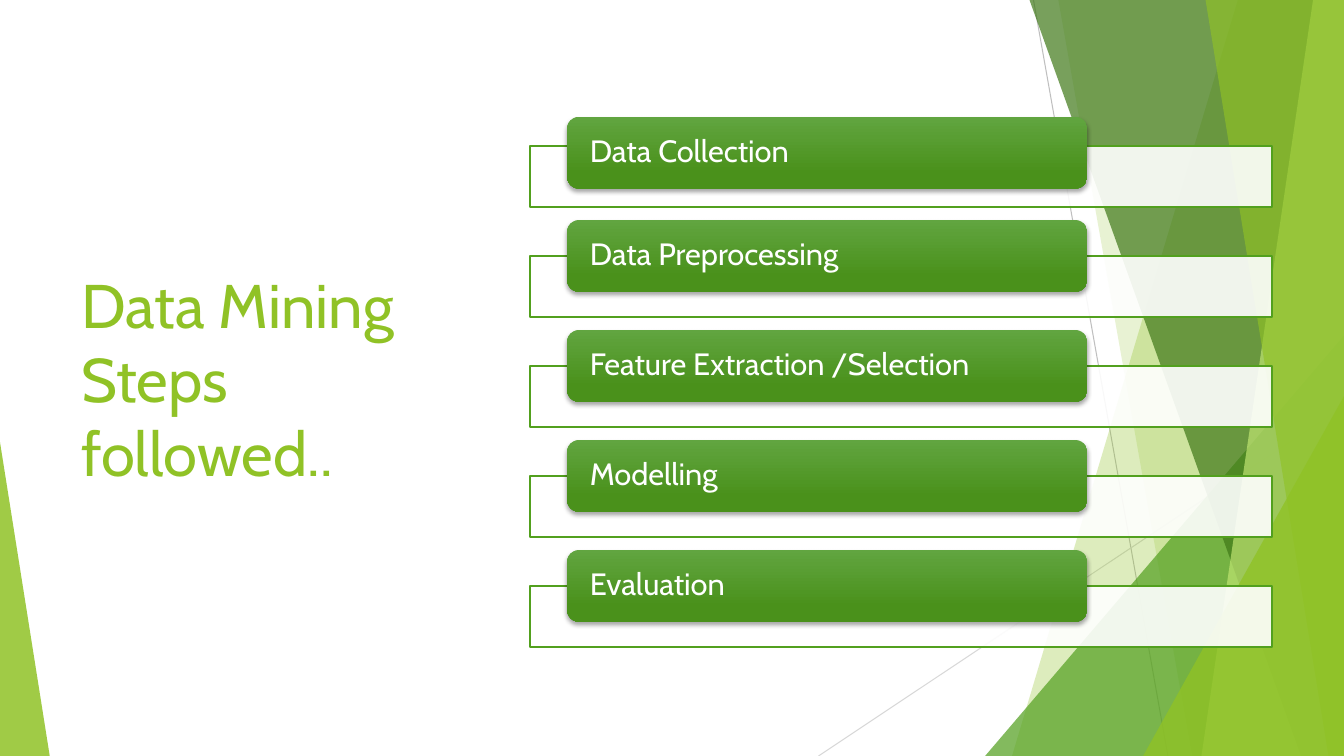
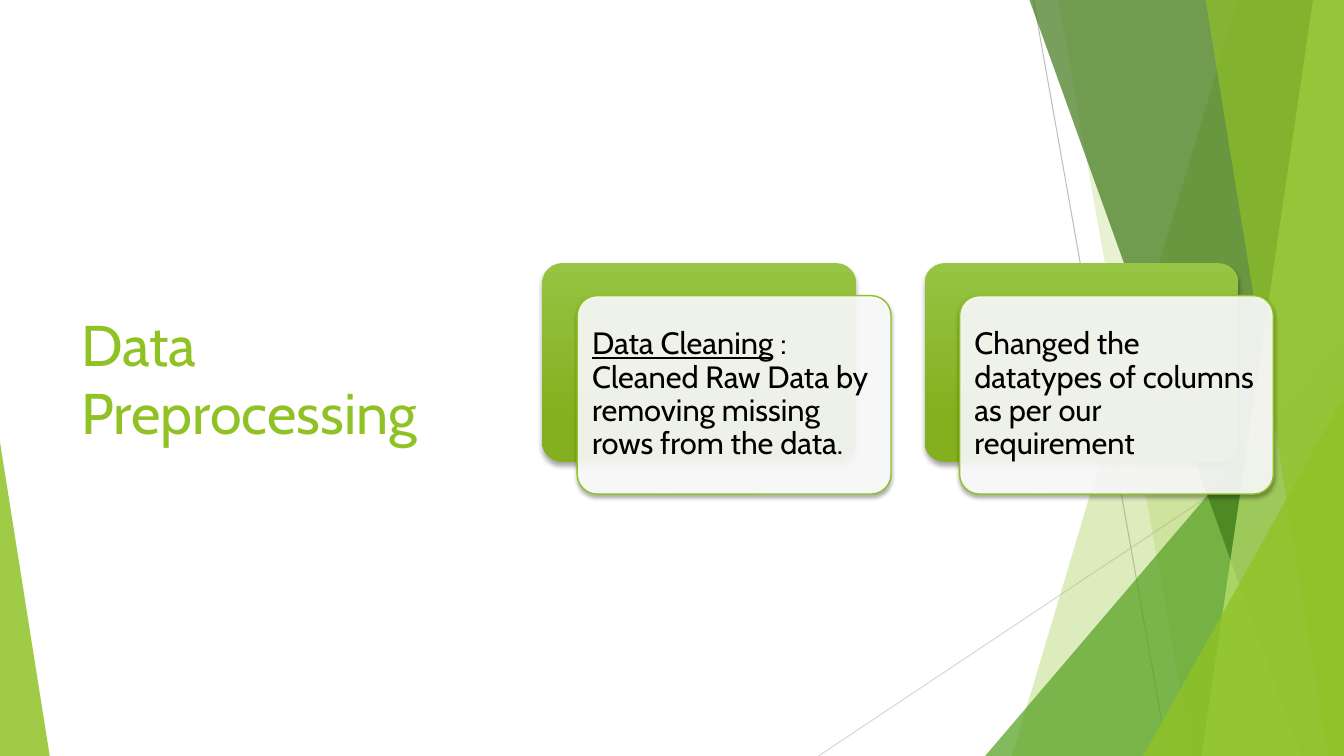
from dataclasses import dataclass

import pptx
import pptx.dml.color
import pptx.enum.shapes
import pptx.enum.text
import pptx.oxml.ns
import pptx.util
from lxml import etree

# Shared look; lengths are percent shares of the slide's width and height
WIDE, HIGH = pptx.util.Inches(13.333), pptx.util.Inches(7.5)
FONT = "Cabin"
LIME, GREEN, MOSS, PALE = "90C226", "54A021", "3F7818", "BFE471"
WHITE, BLACK = "FFFFFF", "000000"
KIND = pptx.enum.shapes.MSO_SHAPE


@dataclass
class Area:
    left: float
    top: float
    width: float
    height: float

    def shift(self, right: float, down: float) -> "Area":
        return Area(self.left + right, self.top + down, self.width, self.height)

    def span(self) -> tuple:
        return across(self.left), down(self.top), across(self.width), down(self.height)


@dataclass
class Ray:
    start: tuple
    end: tuple
    tint: str


@dataclass
class Band:
    top: float
    foot: float
    tint: str
    cover: int


@dataclass
class Peak:
    area: Area
    tip: float
    tint: str
    cover: int


@dataclass
class Step:
    text: str
    lift: float = 4.75


@dataclass
class Run:
    text: str
    under: bool = False


# Backdrop, from back to front
RAYS = [
    Ray((76.9, 0), (86.9, 100), "BFBFBF"),
    Ray((100, 53.7), (60.9, 100), "D8D8D8"),
]
FACETS = [
    Band(92.1, 75.3, LIME, 30),
    Band(78.75, 88.7, LIME, 20),
    Peak(Area(73.3, 44.4, 26.7, 55.6), 1, GREEN, 72),
    Band(76.6, 96.8, MOSS, 70),
    Band(97.7, 89.4, PALE, 70),
    Band(89.7, 98.85, LIME, 65),
    Peak(Area(85.05, 52.4, 14.95, 47.6), 1, LIME, 80),
    Peak(Area(0, 58.5, 3.7, 41.5), 0, LIME, 85),
]
TITLE = Area(5.3, 20.1, 29.1, 59.7)

# Step list
STEPS = [
    Step("Data Collection", 3.85),
    Step("Data Preprocessing"),
    Step("Feature Extraction /Selection"),
    Step("Modelling"),
    Step("Evaluation"),
]
FRAME, BAR = Area(39.45, 19.3, 55.2, 8.1), Area(42.2, 19.3, 38.7, 9.5)
STEP_GAP = 14.55

# Cards: paragraphs made of runs
CARDS = [
    [
        [Run("Data Cleaning", True), Run(" :")],
        [Run("Cleaned Raw Data by removing missing rows from the data.")],
    ],
    [[Run("Changed the datatypes of columns as per our requirement")]],
]
CARD = Area(40.35, 34.8, 23.35, 26.25)
CARD_GAP = 28.45


def across(share: float) -> int:
    return round(WIDE * share / 100)


def down(share: float) -> int:
    return round(HIGH * share / 100)


def rgb(tint: str) -> pptx.dml.color.RGBColor:
    return pptx.dml.color.RGBColor.from_string(tint)


# Paint
def add_node(base, tag: str, **attrs):
    return etree.SubElement(base, pptx.oxml.ns.qn(tag), **attrs)


def fade(node, cover: int) -> None:
    add_node(node, "a:alpha", val=str(cover * 1000))


def paint(shape, tint: str, cover: int, line: str = "") -> None:
    shape.shadow.inherit = False
    shape.fill.solid()
    shape.fill.fore_color.rgb = rgb(tint)
    fade(shape.element.spPr.xpath("a:solidFill/a:srgbClr")[0], cover)
    if line:
        shape.line.color.rgb = rgb(line)
        shape.line.width = pptx.util.Pt(1)
    else:
        shape.line.fill.background()


def blend(shape, first: str, last: str) -> None:
    shape.fill.gradient()
    shape.fill.gradient_angle = 270
    for stop, tint, place in zip(shape.fill.gradient_stops, (first, last), (0, 0.78)):
        stop.color.rgb = rgb(tint)
        stop.position = place
    shape.line.fill.background()


def shade(shape, blur: int, drop: int) -> None:
    shape.shadow.inherit = False
    base = shape.element.spPr.find(pptx.oxml.ns.qn("a:effectLst"))
    cast = add_node(base, "a:outerShdw", blurRad=str(pptx.util.Pt(blur)),
                    dist=str(pptx.util.Pt(drop)), dir="5400000", rotWithShape="0")
    fade(add_node(cast, "a:srgbClr", val=BLACK), 35)


# Text
def add_run(para, text: str, size: int, tint: str, under: bool = False) -> None:
    run = para.add_run()
    run.text = text
    run.font.name = FONT
    run.font.size = pptx.util.Pt(size)
    run.font.color.rgb = rgb(tint)
    if under:
        run.font.underline = True


def write(shape, paras: list, tint: str, side: float, edge: float) -> None:
    frame = shape.text_frame
    frame.word_wrap = True
    frame.vertical_anchor = pptx.enum.text.MSO_ANCHOR.MIDDLE
    frame.margin_left = frame.margin_right = pptx.util.Inches(side)
    frame.margin_top = frame.margin_bottom = pptx.util.Inches(edge)
    for rank, runs in enumerate(paras):
        para = frame.add_paragraph() if rank else frame.paragraphs[0]
        para.alignment = pptx.enum.text.PP_ALIGN.LEFT
        para.line_spacing = 0.9
        for run in runs:
            add_run(para, run.text, 22, tint, run.under)


# Parts
def add_ray(slide, ray: Ray) -> None:
    (left, top), (right, foot) = ray.start, ray.end
    line = slide.shapes.add_connector(
        pptx.enum.shapes.MSO_CONNECTOR.STRAIGHT,
        across(left), down(top), across(right), down(foot))
    line.line.color.rgb = rgb(ray.tint)
    line.line.width = pptx.util.Pt(0.75)
    add_node(line.element.spPr, "a:effectLst")


def add_facet(slide, facet: Band | Peak) -> None:
    if isinstance(facet, Band):
        pen = slide.shapes.build_freeform(across(facet.top), 0)
        pen.add_line_segments([(WIDE, 0), (WIDE, HIGH), (across(facet.foot), HIGH)])
        shape = pen.convert_to_shape()
    else:
        shape = slide.shapes.add_shape(KIND.ISOSCELES_TRIANGLE, *facet.area.span())
        shape.adjustments[0] = facet.tip
    paint(shape, facet.tint, facet.cover)


def add_round(slide, area: Area, curve: float):
    shape = slide.shapes.add_shape(KIND.ROUNDED_RECTANGLE, *area.span())
    shape.adjustments[0] = curve
    return shape


def add_step(slide, step: Step, fall: float) -> None:
    frame = slide.shapes.add_shape(KIND.RECTANGLE, *FRAME.shift(0, fall).span())
    paint(frame, WHITE, 90, "52A01E")
    bar = add_round(slide, BAR.shift(0, fall - step.lift), 0.167)
    blend(bar, "61A540", "4A911B")
    shade(bar, 3, 2)
    write(bar, [[Run(step.text)]], WHITE, 0.19, 0)


def add_card(slide, paras: list, move: float) -> None:
    back = add_round(slide, CARD.shift(move, 0), 0.1)
    blend(back, "96C443", "83B01F")
    shade(back, 4, 3)
    front = add_round(slide, CARD.shift(move + 2.6, 4.3), 0.1)
    paint(front, WHITE, 90, "90C223")
    shade(front, 3, 2)
    write(front, paras, BLACK, 0.09, 0.09)


# Layout: draw the backdrop once, then hand it to the layout
def set_layout(slide, layout) -> None:
    for ray in RAYS:
        add_ray(slide, ray)
    for facet in FACETS:
        add_facet(slide, facet)
    drawn = [shape for shape in slide.shapes if not shape.is_placeholder]
    for mark, shape in enumerate(drawn, 100):
        shape.element.xpath(".//p:cNvPr")[0].set("id", str(mark))
        layout.shapes.element.append(shape.element)
    title = layout.placeholders[0]
    title.left, title.top, title.width, title.height = TITLE.span()


def set_title(slide, text: str, size: int) -> None:
    frame = slide.shapes.title.text_frame
    frame.word_wrap = True
    frame.auto_size = pptx.enum.text.MSO_AUTO_SIZE.NONE
    frame.vertical_anchor = pptx.enum.text.MSO_ANCHOR.MIDDLE
    para = frame.paragraphs[0]
    para.alignment = pptx.enum.text.PP_ALIGN.LEFT
    add_run(para, text, size, LIME)


def main() -> None:
    deck = pptx.Presentation()
    deck.slide_width, deck.slide_height = WIDE, HIGH
    layout = deck.slide_layouts[5]

    # Slide 1: steps
    slide = deck.slides.add_slide(layout)
    set_layout(slide, layout)
    set_title(slide, "Data Mining Steps followed..", 44)
    for rank, step in enumerate(STEPS):
        add_step(slide, step, rank * STEP_GAP)

    # Slide 2: cards
    slide = deck.slides.add_slide(layout)
    set_title(slide, "Data Preprocessing", 41)
    for rank, paras in enumerate(CARDS):
        add_card(slide, paras, rank * CARD_GAP)

    deck.save("out.pptx")


if __name__ == "__main__":
    main()
